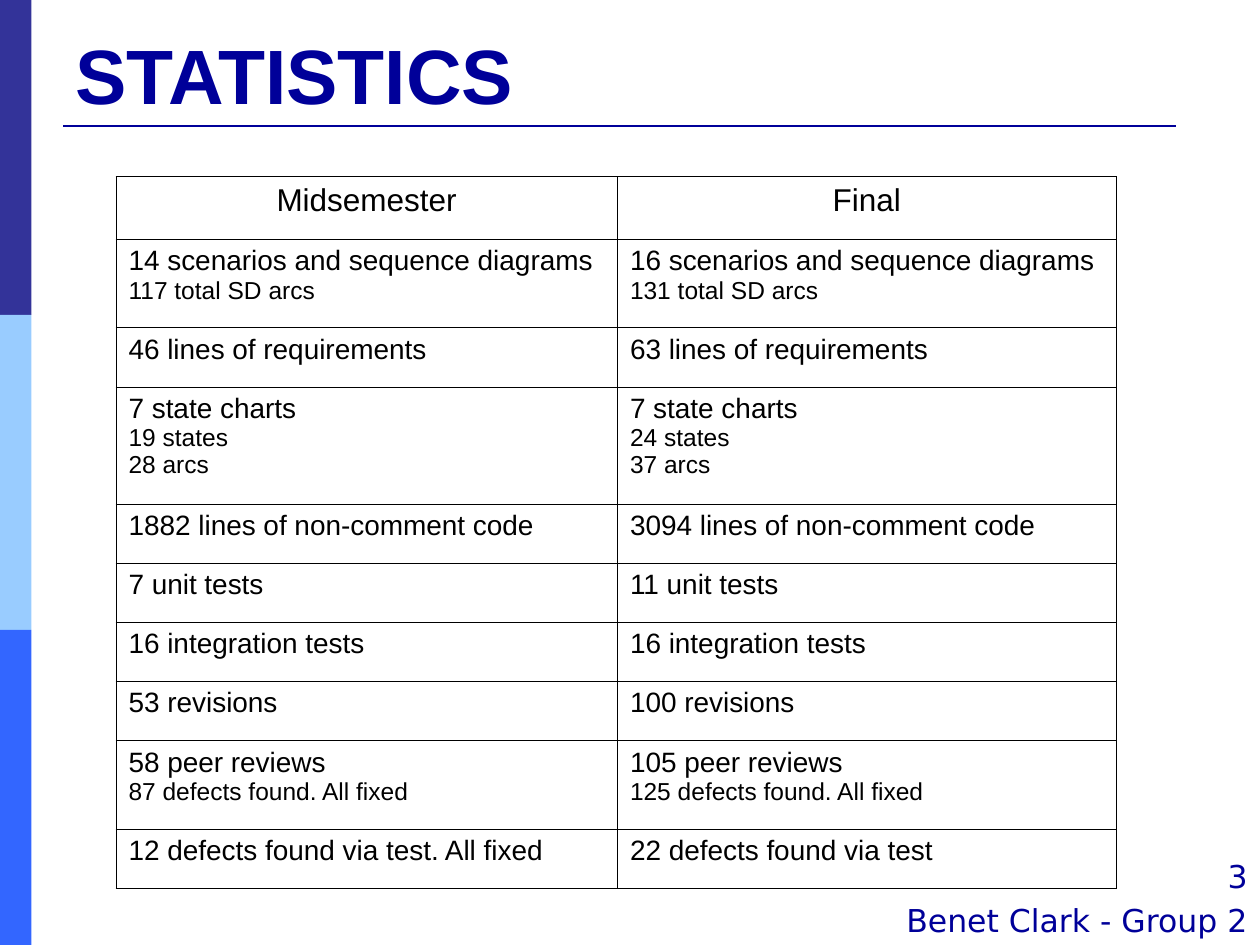
import pptx
import pptx.util
import pptx.dml.color
import pptx.enum.shapes
import pptx.enum.text
import pptx.oxml
import pptx.oxml.ns
from dataclasses import dataclass
from lxml import etree

Inches = pptx.util.Inches
Pt = pptx.util.Pt
ALIGN = pptx.enum.text.PP_ALIGN
ANCHOR = pptx.enum.text.MSO_ANCHOR
qn = pptx.oxml.ns.qn


@dataclass(frozen=True)
class Theme:
    navy: str = "000099"
    black: str = "000000"
    bands: tuple = ("333399", "99CCFF", "3366FF")
    body_font: str = "Arial"
    footer_font: str = "DejaVu Sans"
    title_size: int = 44
    header_size: int = 18
    entry_size: int = 16
    detail_size: int = 14
    footer_size: int = 18
    rule_width: float = 1.5
    border_width: float = 0.34


THEME = Theme()

# Each cell lists its main entry, then its details
HEADERS = ("Midsemester", "Final")
STATISTICS = [
    (["14 scenarios and sequence diagrams", "117 total SD arcs"],
     ["16 scenarios and sequence diagrams", "131 total SD arcs"]),
    (["46 lines of requirements"], ["63 lines of requirements"]),
    (["7 state charts", "19 states", "28 arcs"],
     ["7 state charts", "24 states", "37 arcs"]),
    (["1882 lines of non-comment code"], ["3094 lines of non-comment code"]),
    (["7 unit tests"], ["11 unit tests"]),
    (["16 integration tests"], ["16 integration tests"]),
    (["53 revisions"], ["100 revisions"]),
    (["58 peer reviews", "87 defects found. All fixed"],
     ["105 peer reviews", "125 defects found. All fixed"]),
    (["12 defects found via test. All fixed"], ["22 defects found via test"]),
]


def color(value):
    return pptx.dml.color.RGBColor.from_string(value)


def add_run(paragraph, text, size, font, fill, bold=False):
    run = paragraph.add_run()
    run.text = text
    run.font.size = Pt(size)
    run.font.name = font
    run.font.bold = bold
    run.font.color.rgb = color(fill)


def add_side_bands(slide):
    for index, fill in enumerate(THEME.bands):
        band = slide.shapes.add_shape(
            pptx.enum.shapes.MSO_SHAPE.RECTANGLE,
            0, Inches(2.5 * index), Inches(0.25), Inches(2.5))
        band.shadow.inherit = False
        band.fill.solid()
        band.fill.fore_color.rgb = color(fill)
        band.line.fill.background()


def add_title_rule(slide):
    rule = slide.shapes.add_connector(
        pptx.enum.shapes.MSO_CONNECTOR.STRAIGHT,
        Inches(0.5), Inches(1), Inches(9.33), Inches(1))
    rule.line.color.rgb = color(THEME.navy)
    rule.line.width = Pt(THEME.rule_width)
    etree.SubElement(rule._element.spPr, qn("a:effectLst"))


def set_title(slide, text):
    title = slide.shapes.title
    title.left, title.top = Inches(0.5), Inches(0.17)
    title.width, title.height = Inches(9), Inches(0.83)
    frame = title.text_frame
    frame.vertical_anchor = ANCHOR.BOTTOM
    frame.auto_size = pptx.enum.text.MSO_AUTO_SIZE.NONE
    paragraph = frame.paragraphs[0]
    paragraph.alignment = ALIGN.LEFT
    add_run(paragraph, text, THEME.title_size, THEME.body_font, THEME.navy, bold=True)


def add_footer(slide, text, left, top, width, height):
    box = slide.shapes.add_textbox(
        Inches(left), Inches(top), Inches(width), Inches(height))
    box.text_frame.word_wrap = True
    paragraph = box.text_frame.paragraphs[0]
    paragraph.alignment = ALIGN.RIGHT
    add_run(paragraph, text, THEME.footer_size, THEME.footer_font, THEME.navy)


def set_borders(cell):
    properties = cell._tc.get_or_add_tcPr()
    for index, side in enumerate(("lnL", "lnR", "lnT", "lnB")):
        border = etree.Element(qn(f"a:{side}"), w=str(Pt(THEME.border_width)))
        fill = etree.SubElement(border, qn("a:solidFill"))
        etree.SubElement(fill, qn("a:srgbClr"), val=THEME.black)
        properties.insert(index, border)


def fill_cell(cell, lines, sizes, alignment):
    cell.fill.background()
    set_borders(cell)
    frame = cell.text_frame
    for index, (line, size) in enumerate(zip(lines, sizes)):
        paragraph = frame.add_paragraph() if index else frame.paragraphs[0]
        paragraph.alignment = alignment
        add_run(paragraph, line, size, THEME.body_font, THEME.black)


def add_statistics_table(slide):
    table = slide.shapes.add_table(
        len(STATISTICS) + 1, len(HEADERS),
        Inches(0.92), Inches(1.4), Inches(7.94), Inches(5.63)).table
    table.first_row = table.horz_banding = False
    for column, width in zip(table.columns, (3.98, 3.96)):
        column.width = Inches(width)

    # Header row
    table.rows[0].height = Inches(0.5)
    for column, header in enumerate(HEADERS):
        fill_cell(table.cell(0, column), [header], [THEME.header_size], ALIGN.CENTER)

    # Body rows grow with their number of lines
    for row, entries in enumerate(STATISTICS, start=1):
        line_count = max(len(lines) for lines in entries)
        table.rows[row].height = Inches(0.24 + 0.23 * line_count)
        sizes = [THEME.entry_size] + [THEME.detail_size] * (line_count - 1)
        for column, lines in enumerate(entries):
            fill_cell(table.cell(row, column), lines, sizes, ALIGN.LEFT)


def main():
    presentation = pptx.Presentation()
    presentation.slide_width = Inches(10)
    presentation.slide_height = Inches(7.5)
    slide = presentation.slides.add_slide(presentation.slide_layouts[5])

    # Frame of the slide
    add_side_bands(slide)
    add_title_rule(slide)
    add_footer(slide, "3", 9.17, 6.75, 0.83, 0.44)

    # Content
    set_title(slide, "STATISTICS")
    add_footer(slide, "Benet Clark - Group 2", 5.33, 7.1, 4.67, 0.4)
    add_statistics_table(slide)

    presentation.save("out.pptx")


if __name__ == "__main__":
    main()
